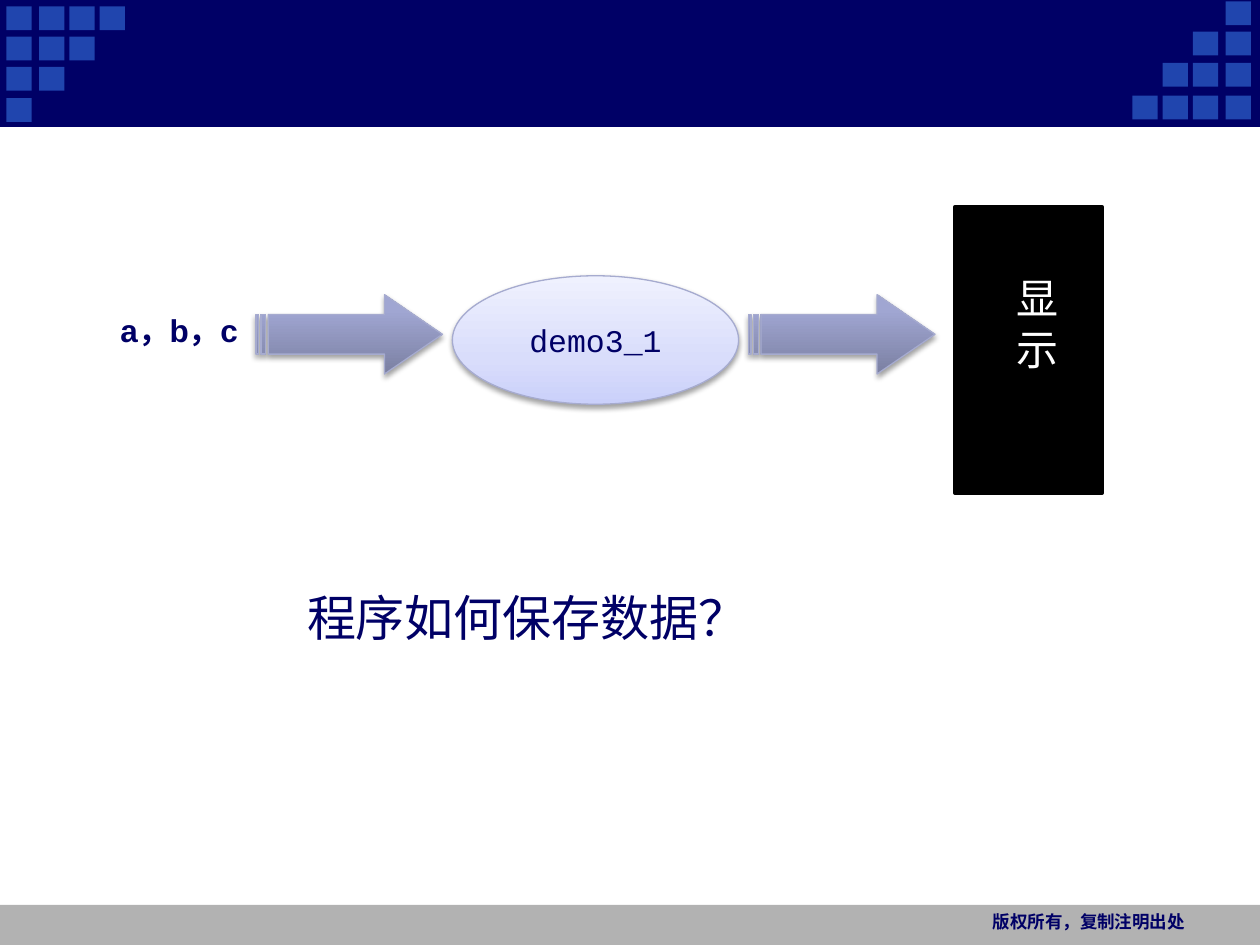
from copy import deepcopy

from lxml import etree
from pptx import Presentation
from pptx import util as u
from pptx.dml.color import RGBColor
from pptx.enum import shapes, text
from pptx.oxml.ns import qn

NAVY = RGBColor(0x00, 0x00, 0x66)
TILE_BLUE = RGBColor(0x20, 0x45, 0xAE)
FOOTER_GREY = RGBColor(0xB2, 0xB2, 0xB2)
EDGE = RGBColor(0xA6, 0xAB, 0xCF)
BLACK = RGBColor(0x00, 0x00, 0x00)
WHITE = RGBColor(0xFF, 0xFF, 0xFF)
ARROW_STOPS = [(0, RGBColor(0x7B, 0x80, 0xA2)), (0.8, RGBColor(0xA0, 0xA6, 0xD2)),
               (1, RGBColor(0xA0, 0xA6, 0xD4))]
PROGRAM_STOPS = [(0, RGBColor(0xCA, 0xD0, 0xFA)), (0.35, RGBColor(0xD9, 0xDD, 0xFB)),
                 (1, RGBColor(0xEF, 0xF1, 0xFE))]
SHAPE = shapes.MSO_SHAPE

prs = Presentation()
prs.slide_width, prs.slide_height = u.Cm(25.4), u.Cm(19.05)
slide = prs.slides.add_slide(prs.slide_layouts[6])


def add_block(kind, box, fill, edge=None, width=0.75):
    block = slide.shapes.add_shape(kind, *map(u.Cm, box))
    block.shadow.inherit = False
    if edge is None:
        block.line.fill.background()
    else:
        block.line.color.rgb = edge
        block.line.width = u.Pt(width)
    if isinstance(fill, RGBColor):
        block.fill.solid()
        block.fill.fore_color.rgb = fill
        return block
    block.fill.gradient()
    block.fill.gradient_angle = 90
    stop_list = block._element.spPr.find(qn("a:gradFill")).find(qn("a:gsLst"))
    stop_list.insert(1, deepcopy(stop_list[0]))
    for stop, (position, color) in zip(block.fill.gradient_stops, fill):
        stop.position = position
        stop.color.rgb = color
    effects = block._element.spPr.find(qn("a:effectLst"))
    cast = etree.SubElement(effects, qn("a:outerShdw"), blurRad=str(u.Pt(3.1)),
                            dist=str(u.Pt(1.8)), dir="5400000", rotWithShape="0")
    shade = etree.SubElement(cast, qn("a:srgbClr"), val="000000")
    etree.SubElement(shade, qn("a:alpha"), val="36000")
    return block


def write(frame, words, font_format, frame_format, align=text.PP_ALIGN.LEFT):
    for name, value in frame_format.items():
        setattr(frame, name, value)
    paragraph = frame.paragraphs[0]
    paragraph.alignment = align
    run = paragraph.add_run()
    run.text = words
    run.font.color.rgb = font_format["color"]
    for name in ("name", "size", "bold"):
        setattr(run.font, name, font_format[name])


add_block(SHAPE.RECTANGLE, (0, 18.24, 25.4, 0.83), FOOTER_GREY)
add_block(SHAPE.RECTANGLE, (0, 0, 25.4, 2.54), NAVY, NAVY)

left_columns, left_rows = (0.13, 0.79, 1.4, 2.01), (0.13, 0.74, 1.35, 1.98)
right_columns, right_rows = (24.71, 24.05, 23.44, 22.83), (0.03, 0.64, 1.27, 1.93)
for step in range(4):
    for x in left_columns[:4 - step]:
        add_block(SHAPE.RECTANGLE, (x, left_rows[step], 0.51, 0.48), TILE_BLUE)
    for x in right_columns[:step + 1]:
        add_block(SHAPE.RECTANGLE, (x, right_rows[step], 0.51, 0.48), TILE_BLUE)

for x in (5.16, 15.09):
    flow = add_block(SHAPE.STRIPED_RIGHT_ARROW, (x, 5.94, 3.76, 1.6), ARROW_STOPS, EDGE)
    flow.adjustments[0], flow.adjustments[1] = 0.5, 0.73

program = add_block(SHAPE.OVAL, (9.12, 5.56, 5.77, 2.59), PROGRAM_STOPS, EDGE)
write(program.text_frame, "demo3_1",
      {"name": "Courier New", "size": u.Pt(18), "bold": False, "color": NAVY},
      {"vertical_anchor": text.MSO_ANCHOR.MIDDLE, "word_wrap": True},
      text.PP_ALIGN.CENTER)

add_block(SHAPE.RECTANGLE, (19.25, 4.17, 2.97, 5.77), BLACK, BLACK, 2)

TOP, MIDDLE = text.MSO_ANCHOR.TOP, text.MSO_ANCHOR.MIDDLE
LEFT, RIGHT = text.PP_ALIGN.LEFT, text.PP_ALIGN.RIGHT
labels = [
    ("版权所有，复制注明出处", (19.3, 18.24, 4.83, 0.81), "Courier New", 10, True, NAVY, TOP, True, RIGHT),
    ("a，b，c", (2.18, 6.15, 2.92, 1.02), "Arial", 18, True, NAVY, MIDDLE, True, LEFT),
    ("显示", (20.24, 5.36, 0.79, 2.31), "Arial", 24, False, WHITE, MIDDLE, True, LEFT),
    ("程序如何保存数据？", (5.94, 11.71, 9.5, 1.45), "Arial", 28, False, NAVY, MIDDLE, False, LEFT),
]
for words, box, font, size, bold, color, anchor, wrap, align in labels:
    label = slide.shapes.add_textbox(*map(u.Cm, box))
    write(label.text_frame, words,
          {"name": font, "size": u.Pt(size), "bold": bold, "color": color},
          {"vertical_anchor": anchor, "word_wrap": wrap}, align)

prs.save("out.pptx")
